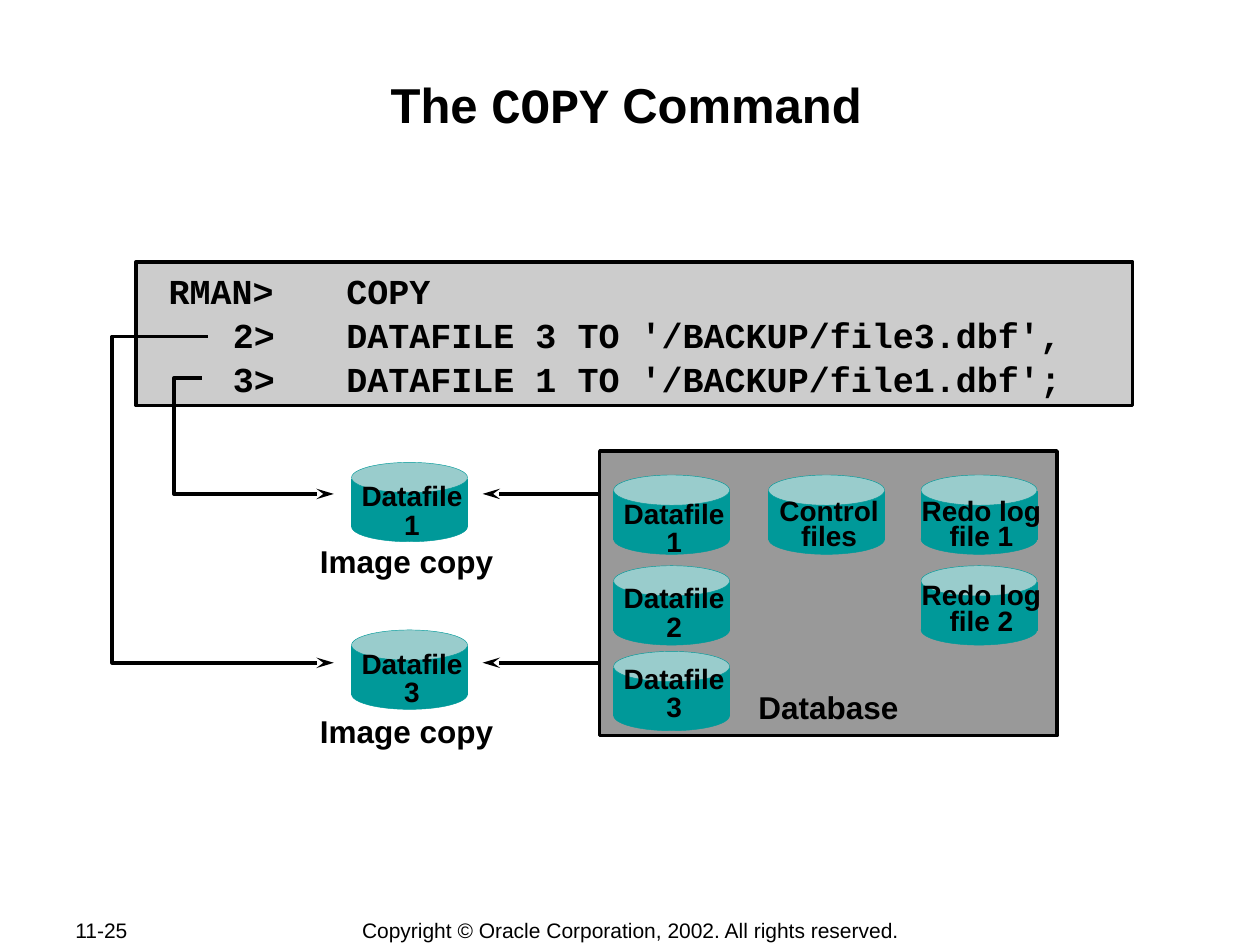
from lxml import etree
from pptx import Presentation
from pptx.dml.color import RGBColor
from pptx.enum.shapes import MSO_CONNECTOR, MSO_SHAPE
from pptx.enum.text import MSO_ANCHOR, PP_ALIGN
from pptx.oxml.ns import qn
from pptx.util import Inches, Pt

RECTANGLE, OVAL = MSO_SHAPE.RECTANGLE, MSO_SHAPE.OVAL
STRAIGHT = MSO_CONNECTOR.STRAIGHT
LEFT, CENTER = PP_ALIGN.LEFT, PP_ALIGN.CENTER
TOP, MIDDLE = MSO_ANCHOR.TOP, MSO_ANCHOR.MIDDLE

COLORS = {
    "black": "000000",
    "code": "CCCCCC",
    "database": "999999",
    "disk": "009999",
    "disk_top": "99CCCC",
}
SANS, MONO = "Arial", "Courier New"
COPY_X, DATAFILE_X, CONTROL_X, REDO_X = 2.79, 4.87, 6.1, 7.31
ROW_1, ROW_2, ROW_3 = 3.77, 4.49, 5.17
ARROW_1, ARROW_3 = 3.92, 5.26


def color(name):
    """Return the named colour of the palette."""
    return RGBColor.from_string(COLORS[name])


def write_text(shape, parts, size=16, bold=True, align=LEFT, anchor=TOP,
               spacing=None, wrap=True, insets=(0.1, 0.05), tabs=()):
    """Fill a shape with one paragraph of (text, font) parts, with line breaks at newlines."""
    frame = shape.text_frame
    frame.word_wrap = wrap
    frame.vertical_anchor = anchor
    frame.margin_left = frame.margin_right = Inches(insets[0])
    frame.margin_top = frame.margin_bottom = Inches(insets[1])
    paragraph = frame.paragraphs[0]
    paragraph.alignment = align
    if spacing:
        paragraph.line_spacing = spacing
    if tabs:
        tab_list = etree.SubElement(paragraph._p.get_or_add_pPr(), qn("a:tabLst"))
        for position in tabs:
            etree.SubElement(tab_list, qn("a:tab"), pos=str(Inches(position)), algn="l")
    for text, font_name in parts:
        for index, line in enumerate(text.split("\n")):
            if index:
                paragraph.add_line_break()
            run = paragraph.add_run()
            run.text = line
            run.font.name = font_name
            run.font.size = Pt(size)
            run.font.bold = bold
            run.font.color.rgb = color("black")


def add_text(slide, box, text, **text_format):
    """Add a text box in the sans-serif font."""
    shape = slide.shapes.add_textbox(*map(Inches, box))
    write_text(shape, [(text, SANS)], **text_format)


def add_block(shapes, kind, box, fill, line="black", width=2):
    """Add a filled preset shape with an outline."""
    shape = shapes.add_shape(kind, *map(Inches, box))
    shape.shadow.inherit = False
    shape.fill.solid()
    shape.fill.fore_color.rgb = color(fill)
    shape.line.color.rgb = color(line)
    shape.line.width = Pt(width)
    return shape


def add_disk(slide, left, top):
    """Add a storage cylinder as a group of a body and two ellipses."""
    shapes = slide.shapes.add_group_shape().shapes
    for kind, offset, height, fill in (
        (RECTANGLE, 0.13, 0.38, "disk"),
        (OVAL, 0, 0.24, "disk_top"),
        (OVAL, 0.39, 0.24, "disk"),
    ):
        add_block(shapes, kind, (left, top + offset, 0.92, height), fill, "disk", 0.25)


def style_arrow(shape):
    """Give a line its black stroke and a long stealth arrowhead at its end."""
    shape.line.color.rgb = color("black")
    shape.line.width = Pt(2)
    etree.SubElement(shape.line._get_or_add_ln(), qn("a:tailEnd"),
                     type="stealth", w="med", len="lg")


def add_arrow(slide, start, end):
    """Add a straight arrow."""
    connector = slide.shapes.add_connector(STRAIGHT, *map(Inches, start + end))
    style_arrow(connector)
    etree.SubElement(connector._element.spPr, qn("a:effectLst"))


def add_bent_arrow(slide, points):
    """Add an open polyline arrow through the points."""
    start, *others = [(Inches(x), Inches(y)) for x, y in points]
    builder = slide.shapes.build_freeform(*start)
    builder.add_line_segments(others, close=False)
    shape = builder.convert_to_shape()
    shape.fill.background()
    style_arrow(shape)
    shape.shadow.inherit = False


def add_code(slide):
    """Add the command listing."""
    listing = add_block(slide.shapes, RECTANGLE, (1.08, 2.08, 7.91, 1.14), "code")
    code = ("\tRMAN>\tCOPY\n"
            "\t\t2>\tDATAFILE 3 TO '/BACKUP/file3.dbf',\n"
            "\t\t3>\tDATAFILE 1 TO '/BACKUP/file1.dbf';")
    write_text(listing, [(code, MONO)], size=20, spacing=1.04, tabs=(0.16, 0.67, 1.57))


def add_database(slide):
    """Add the database box with its files."""
    add_block(slide.shapes, RECTANGLE, (4.76, 3.58, 3.63, 2.26), "database")
    for left, top, label, label_top, spacing, inset in (
        (DATAFILE_X, ROW_1, "Datafile 1", 3.93, 0.85, 0.09),
        (DATAFILE_X, ROW_2, "Datafile 2", 4.6, 0.85, 0.09),
        (DATAFILE_X, ROW_3, "Datafile 3", 5.24, 0.85, 0.09),
        (CONTROL_X, ROW_1, "Control\nfiles", 3.93, 0.75, 0.09),
        (REDO_X, ROW_1, "Redo log\nfile 1", 3.93, 0.75, 0),
        (REDO_X, ROW_2, "Redo log\nfile 2", 4.6, 0.75, 0),
    ):
        add_disk(slide, left, top)
        add_text(slide, (left - 0.05, label_top, 1.06, 0.54), label, align=CENTER,
                 spacing=spacing, insets=(inset, 0.05))
    add_text(slide, (5.94, 5.52, 1.27, 0.23), "Database", size=18, align=CENTER,
             anchor=MIDDLE, spacing=0.85, wrap=False, insets=(0.06, 0.03))


def add_image_copies(slide):
    """Add the two image copies with the arrows that lead to them."""
    for top, label, caption_top, arrow_y in (
        (3.67, "Datafile 1", 4.25, ARROW_1),
        (5, "Datafile 3", 5.6, ARROW_3),
    ):
        add_disk(slide, COPY_X, top)
        add_text(slide, (COPY_X - 0.05, top + 0.12, 1.06, 0.54), label, align=CENTER,
                 spacing=0.85, insets=(0.09, 0.05))
        add_text(slide, (2.44, caption_top, 1.58, 0.4), "Image copy", size=18, wrap=False)
        add_arrow(slide, (4.76, arrow_y), (3.83, arrow_y))
    for start_x, start_y, bend_x, end_y in (
        (1.65, 2.67, 0.89, ARROW_3),
        (1.6, 3, 1.38, ARROW_1),
    ):
        add_bent_arrow(slide, [(start_x, start_y), (bend_x, start_y),
                               (bend_x, end_y), (2.65, end_y)])


def main():
    """Build the slide and save it."""
    presentation = Presentation()
    presentation.slide_width, presentation.slide_height = Inches(10), Inches(7.5)
    slide = presentation.slides.add_slide(presentation.slide_layouts[6])
    add_text(slide, (0.5, 7.28, 1.06, 0.2), "11-25", size=12, bold=False, anchor=MIDDLE)
    add_text(slide, (2.76, 7.28, 4.49, 0.21),
             "Copyright © Oracle Corporation, 2002. All rights reserved.",
             size=12, bold=False, align=CENTER, anchor=MIDDLE, wrap=False)
    title = slide.shapes.add_textbox(Inches(0.97), Inches(0.58), Inches(8), Inches(0.96))
    write_text(title, [("The ", SANS), ("COPY", MONO), (" Command", SANS)],
               size=28, align=CENTER, insets=(0.01, 0.01))
    add_code(slide)
    add_database(slide)
    add_image_copies(slide)
    presentation.save("out.pptx")


if __name__ == "__main__":
    main()
